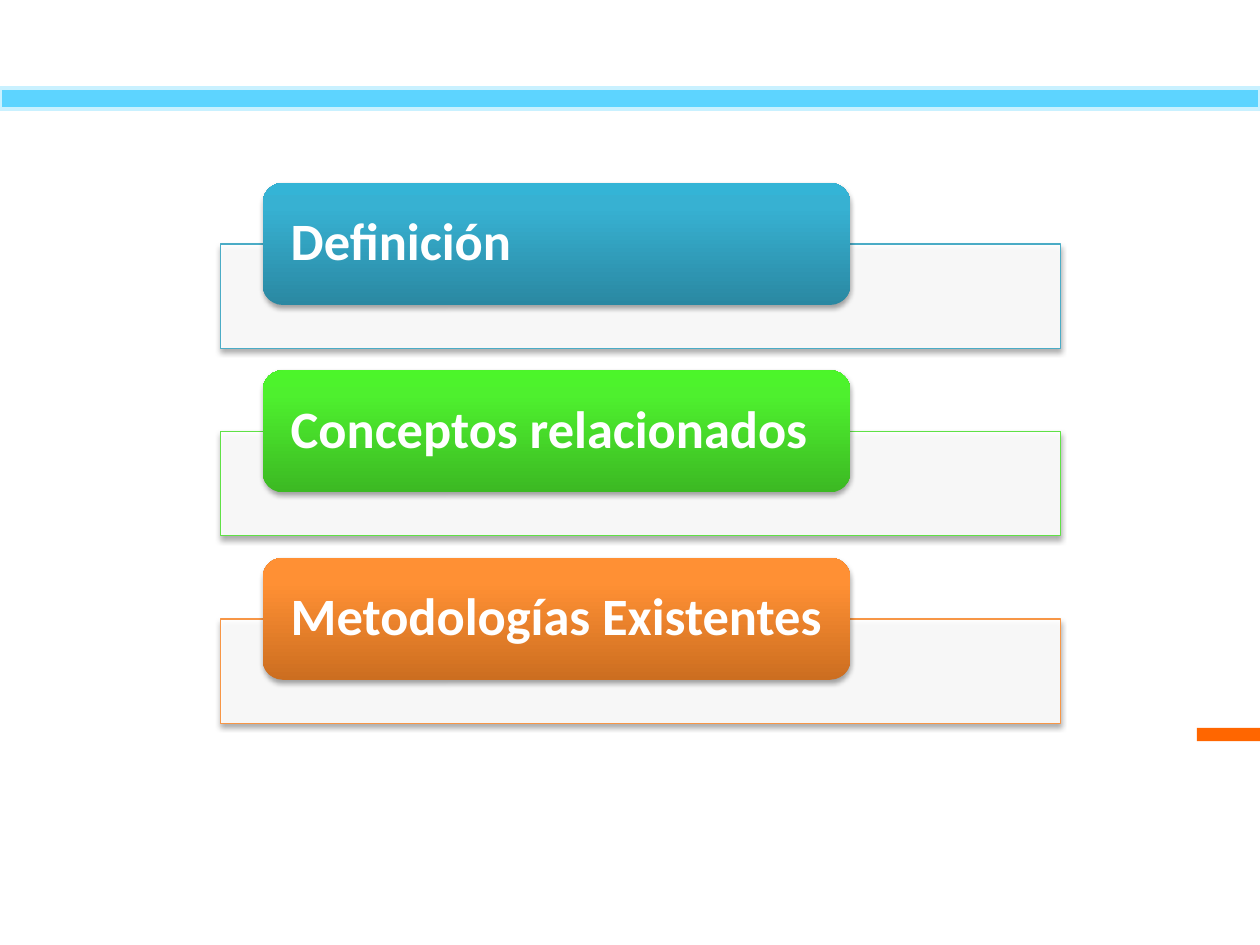
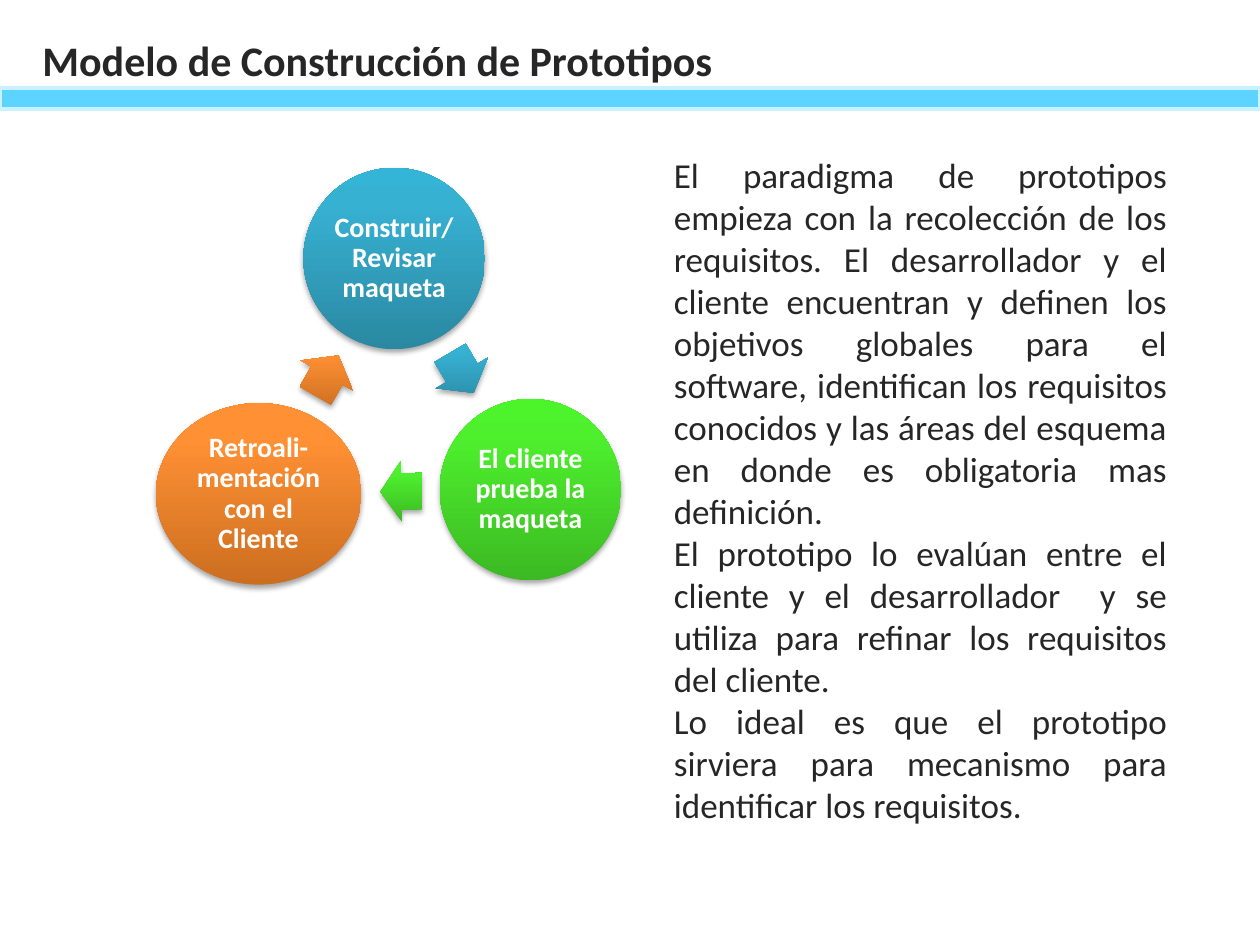
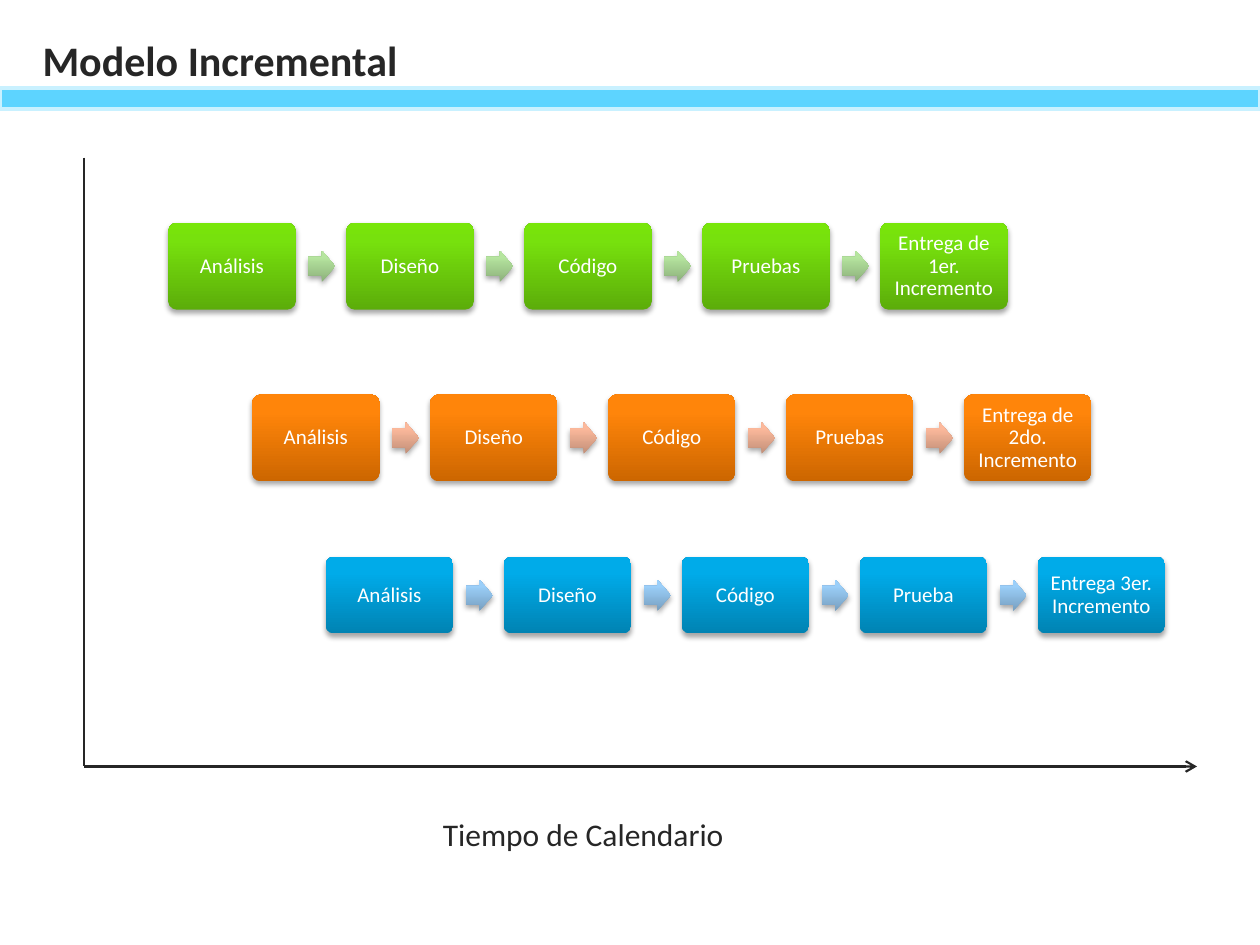
"""Builds three slides on software process models: agenda, prototyping and incremental."""
import lxml.etree
import pptx
import pptx.dml.color
import pptx.enum.shapes
import pptx.enum.text
import pptx.oxml
import pptx.oxml.ns
import pptx.util

Pt = pptx.util.Pt
SHAPE = pptx.enum.shapes.MSO_SHAPE
ALIGN = pptx.enum.text.PP_ALIGN
qn = pptx.oxml.ns.qn

FONT = "Calibri"
COLORS = {
    "text": "262626", "white": "FFFFFF", "shadow": "000000", "tab": "FF6600",
    "band": "5DD4FF", "band edge": "C9F1FF",
    "teal edge": "4BACC6", "green edge": "60E146", "orange edge": "F79646",
}
GRADIENTS = {
    "teal": ("2A88A2", "37B1D2", "34B4D6"),
    "green": ("3CB923", "4EF02E", "4CF52A"),
    "orange": ("CC6E20", "FF9034", "FF9136"),
    "lime": ("5CAD0A", "77E10D", "78E609"),
    "pale lime": ("8CB07B", "B6E59F", "B6E79F"),
    "amber": ("CC6600", "FF850A", "FF850C"),
    "pale amber": ("C28F78", "FCB99C", "FFB99A"),
    "sky": ("0083B3", "00ABE9", "00ABEA"),
    "pale sky": ("779FC0", "9BCFF9", "9AD0FC"),
}

TOPICS = [
    ("Definición", "teal"),
    ("Conceptos relacionados", "green"),
    ("Metodologías Existentes", "orange"),
]
PROTOTYPE_TITLE = "Modelo de Construcción de Prototipos"
CYCLE = [
    ("Construir/Revisar maqueta", "teal",
     (173.4, 95.9, 103.7, 103.7), (250.6, 195.8, 26.6, 34.6), 59.5),
    ("El cliente prueba la maqueta", "green",
     (251.3, 228, 103.7, 103.7), (217.4, 263.5, 23.8, 34.6), 179),
    ("Retroali-mentación con el Cliente", "orange",
     (89.1, 230.4, 117.4, 103.7), (173.5, 197.3, 26.6, 34.6), 300),
]
PROTOTYPE_TEXT = [
    "El paradigma de prototipos empieza con la recolección de los requisitos. "
    "El desarrollador y el cliente encuentran y definen los objetivos globales "
    "para el software, identifican los requisitos conocidos y las áreas del "
    "esquema en donde es obligatoria mas definición.",
    "El prototipo lo evalúan entre el cliente y el desarrollador  y se utiliza "
    "para refinar los requisitos del cliente.",
    "Lo ideal es que el prototipo sirviera para mecanismo para identificar los "
    "requisitos.",
]
INCREMENTAL_TITLE = "Modelo Incremental"
INCREMENTS = [
    (["Análisis", "Diseño", "Código", "Pruebas", "Entrega de 1er. Incremento"],
     "lime", 96.2, 127.3, 49.7),
    (["Análisis", "Diseño", "Código", "Pruebas", "Entrega de 2do. Incremento"],
     "amber", 144.1, 225.4, 49.7),
    (["Análisis", "Diseño", "Código", "Prueba", "Entrega 3er. Incremento"],
     "sky", 186.2, 318.3, 43.7),
]
AXIS_LABEL = "Tiempo de Calendario"
AXES = [
    ((48, 90), (48, 438), False),
    ((48, 438), (672, 438), False),
    ((666, 438), (684, 438), True),
]


def rgb(name):
    return pptx.dml.color.RGBColor.from_string(COLORS[name])


def write(holder, paragraphs, size, color, bold=False, align=ALIGN.LEFT, spacing=None):
    frame = holder.text_frame
    frame.text = "\n".join(paragraphs)
    for paragraph in frame.paragraphs:
        paragraph.alignment = align
        if spacing:
            paragraph.line_spacing = spacing
        font = paragraph.runs[0].font
        font.name, font.size, font.bold = FONT, Pt(size), bold
        font.color.rgb = rgb(color)


def add_text(slide, box, paragraphs, size, wrap=False, **style):
    label = slide.shapes.add_textbox(*map(Pt, box))
    write(label, paragraphs, size, "text", **style)
    label.text_frame.word_wrap = wrap
    label.text_frame.auto_size = pptx.enum.text.MSO_AUTO_SIZE.SHAPE_TO_FIT_TEXT


def add_box(slide, kind, box, fill, edge=None, width=0.75):
    shape = slide.shapes.add_shape(kind, *map(Pt, box))
    shape.shadow.inherit = False
    shape.fill.solid()
    shape.fill.fore_color.rgb = rgb(fill)
    if edge:
        shape.line.color.rgb = rgb(edge)
        shape.line.width = Pt(width)
    else:
        shape.line.fill.background()
    return shape


def cast_shadow(shape):
    effects = shape.element.spPr.find(qn("a:effectLst"))
    effects.append(pptx.oxml.parse_xml(
        f'<a:outerShdw {pptx.oxml.ns.nsdecls("a")} blurRad="{Pt(3.1)}" dist="{Pt(1.8)}" '
        f'dir="5400000" rotWithShape="0"><a:srgbClr val="{COLORS["shadow"]}">'
        '<a:alpha val="35000"/></a:srgbClr></a:outerShdw>'))


def add_glossy(slide, kind, box, gradient, adjustments=(), rotation=0):
    shape = add_box(slide, kind, box, "white")
    stops = "".join(
        f'<a:gs pos="{position}"><a:srgbClr val="{color}"/></a:gs>'
        for position, color in zip((0, 80000, 100000), GRADIENTS[gradient]))
    properties = shape.element.spPr
    properties.replace(properties.find(qn("a:solidFill")), pptx.oxml.parse_xml(
        f'<a:gradFill {pptx.oxml.ns.nsdecls("a")} rotWithShape="0">'
        f'<a:gsLst>{stops}</a:gsLst><a:lin ang="16200000" scaled="0"/></a:gradFill>'))
    cast_shadow(shape)
    for index, value in enumerate(adjustments):
        shape.adjustments[index] = value
    shape.rotation = rotation
    return shape


def caption(shape, words, size, insets, bold=False, align=ALIGN.CENTER):
    write(shape, [words], size, "white", bold, align, 0.9)
    frame = shape.text_frame
    frame.word_wrap = True
    frame.vertical_anchor = pptx.enum.text.MSO_ANCHOR.MIDDLE
    frame.margin_left = frame.margin_right = Pt(insets[0])
    frame.margin_top = frame.margin_bottom = Pt(insets[1])


def add_arrow(slide, box, gradient, rotation=0):
    add_glossy(slide, SHAPE.RIGHT_ARROW, box, gradient, (0.6, 0.5), rotation)


def add_axis(slide, start, end, pointed):
    axis = slide.shapes.add_connector(
        pptx.enum.shapes.MSO_CONNECTOR.STRAIGHT, *map(Pt, start + end))
    axis.line.color.rgb = rgb("text")
    axis.line.width = Pt(1.25)
    if pointed:
        lxml.etree.SubElement(axis.line._get_or_add_ln(), qn("a:tailEnd"), type="arrow")
    lxml.etree.SubElement(axis.element.spPr, qn("a:effectLst"))


def add_slide(deck, title=None, title_width=0):
    slide = deck.slides.add_slide(deck.slide_layouts[6])
    add_box(slide, SHAPE.RECTANGLE, (0, 50.2, 720, 12), "band", "band edge", 2)
    if title:
        add_text(slide, (17.2, 16, title_width, 36), [title], 24, bold=True)
    return slide


def build_agenda(deck):
    slide = add_slide(deck)
    add_box(slide, SHAPE.RECTANGLE, (684, 416, 36, 7.6), "tab")
    for index, (topic, color) in enumerate(TOPICS):
        top = 104.5 + 107.1 * index
        panel = add_box(slide, SHAPE.RECTANGLE, (126, top + 35, 480, 59.6),
                        "white", f"{color} edge")
        tint = panel.element.spPr.find(qn("a:solidFill"))[0]
        lxml.etree.SubElement(tint, qn("a:alpha"), val="90000")
        cast_shadow(panel)
        heading = add_glossy(slide, SHAPE.ROUNDED_RECTANGLE, (150, top, 336, 69.8), color)
        caption(heading, topic, 30, (12.7, 0), True, ALIGN.LEFT)


def build_prototypes(deck):
    slide = add_slide(deck, PROTOTYPE_TITLE, 401)
    for step, color, circle, arrow, rotation in CYCLE:
        node = add_glossy(slide, SHAPE.OVAL, circle, color)
        caption(node, step, 16, (1.4, 1.4), True)
        add_arrow(slide, arrow, color, rotation)
    add_text(slide, (378, 84.2, 296, 417), PROTOTYPE_TEXT, 20, wrap=True, align=ALIGN.JUSTIFY)


def build_increments(deck):
    slide = add_slide(deck, INCREMENTAL_TITLE, 219.6)
    pitch, width, arrow_width, arrow_height = 101.7, 72.8, 15.4, 18
    for phases, color, left, top, height in INCREMENTS:
        for index, phase in enumerate(phases):
            x = left + pitch * index
            step = add_glossy(slide, SHAPE.ROUNDED_RECTANGLE, (x, top, width, height),
                              color, (0.1,))
            caption(step, phase, 12, (3.6, 3.6))
            if index < len(phases) - 1:
                add_arrow(slide, (x + 80, top + (height - arrow_height) / 2,
                                  arrow_width, arrow_height), f"pale {color}")
    for axis in AXES:
        add_axis(slide, *axis)
    add_text(slide, (246, 462, 177, 29), [AXIS_LABEL], 18)


deck = pptx.Presentation()
deck.slide_width, deck.slide_height = Pt(720), Pt(540)
build_agenda(deck)
build_prototypes(deck)
build_increments(deck)
deck.save("out.pptx")
